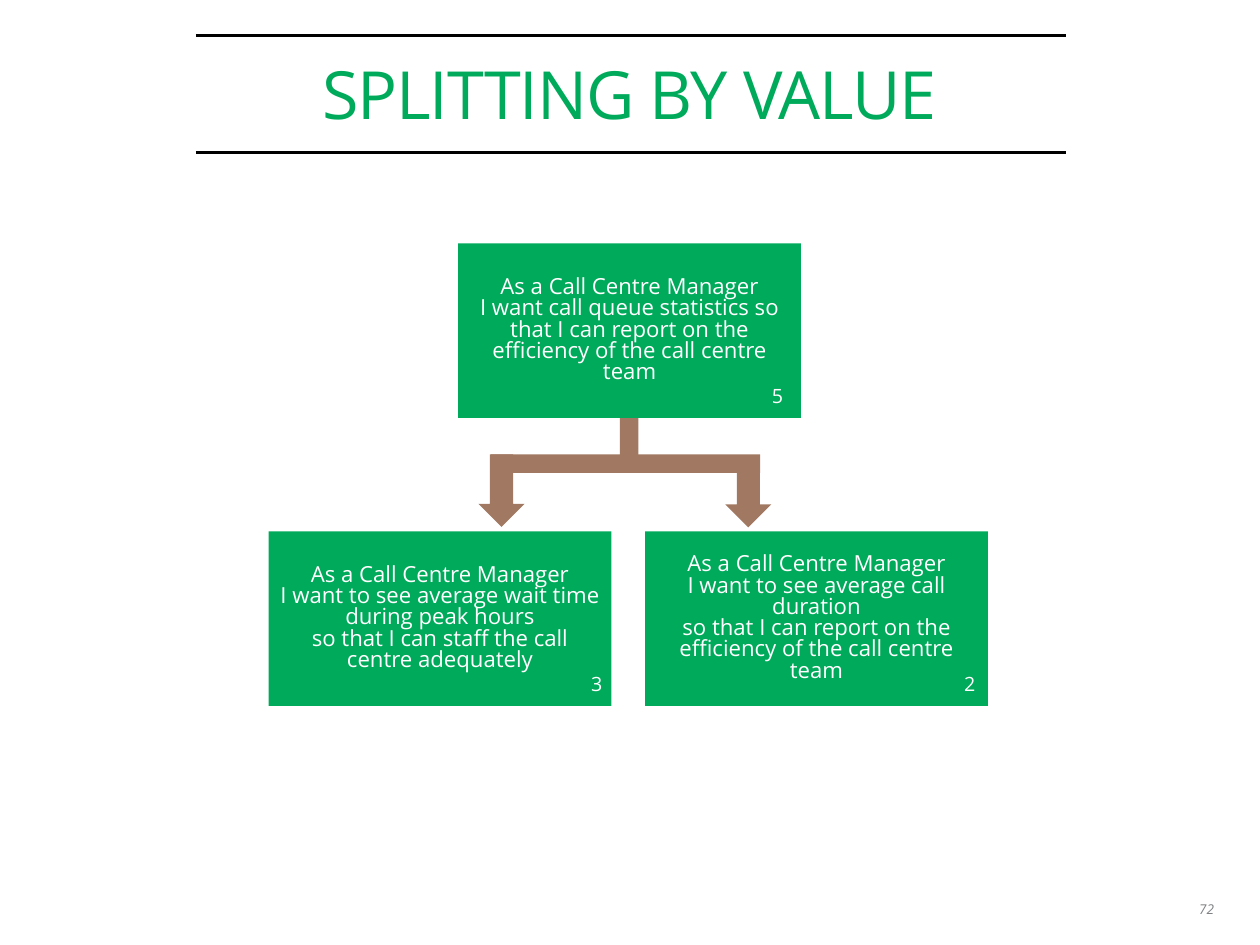
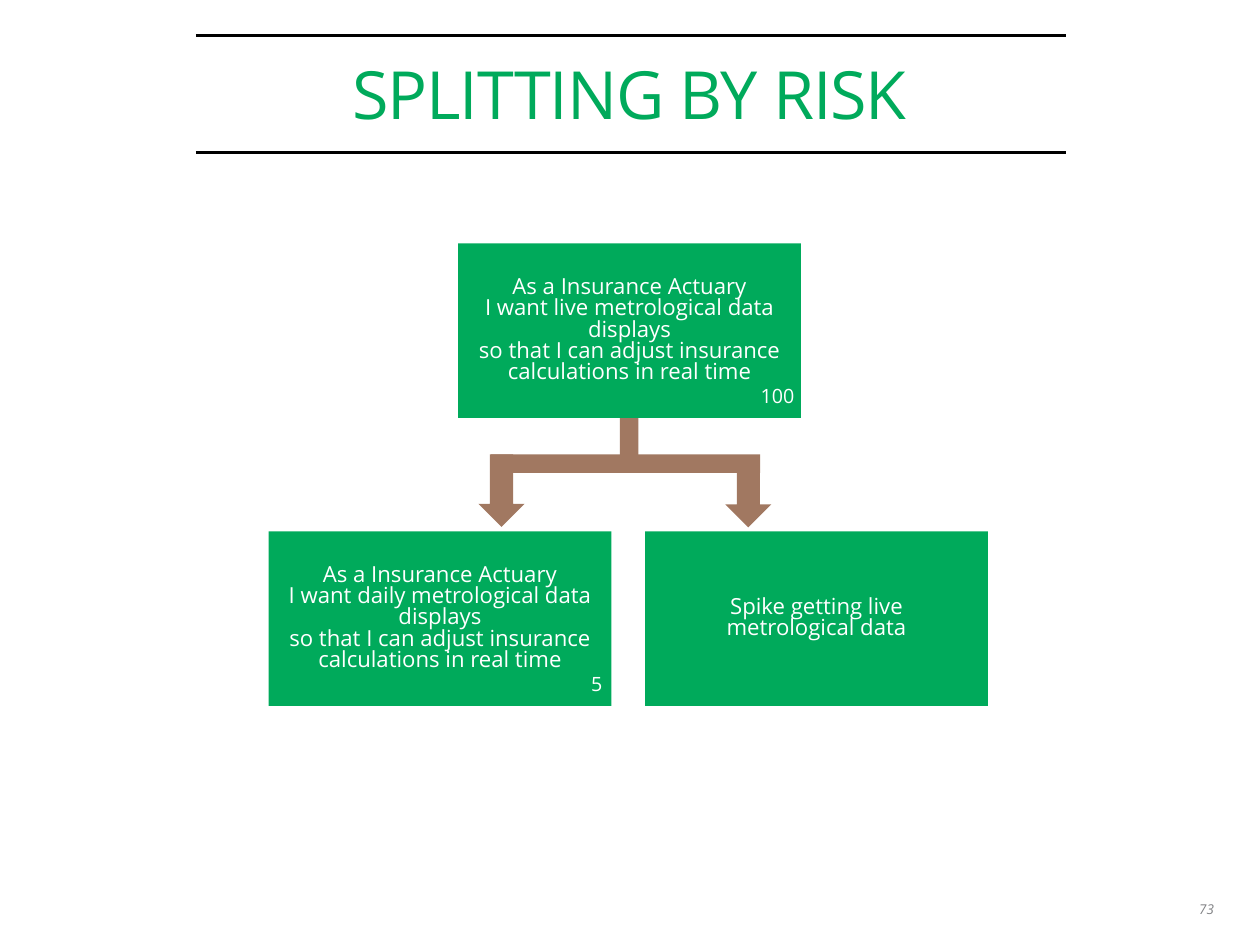
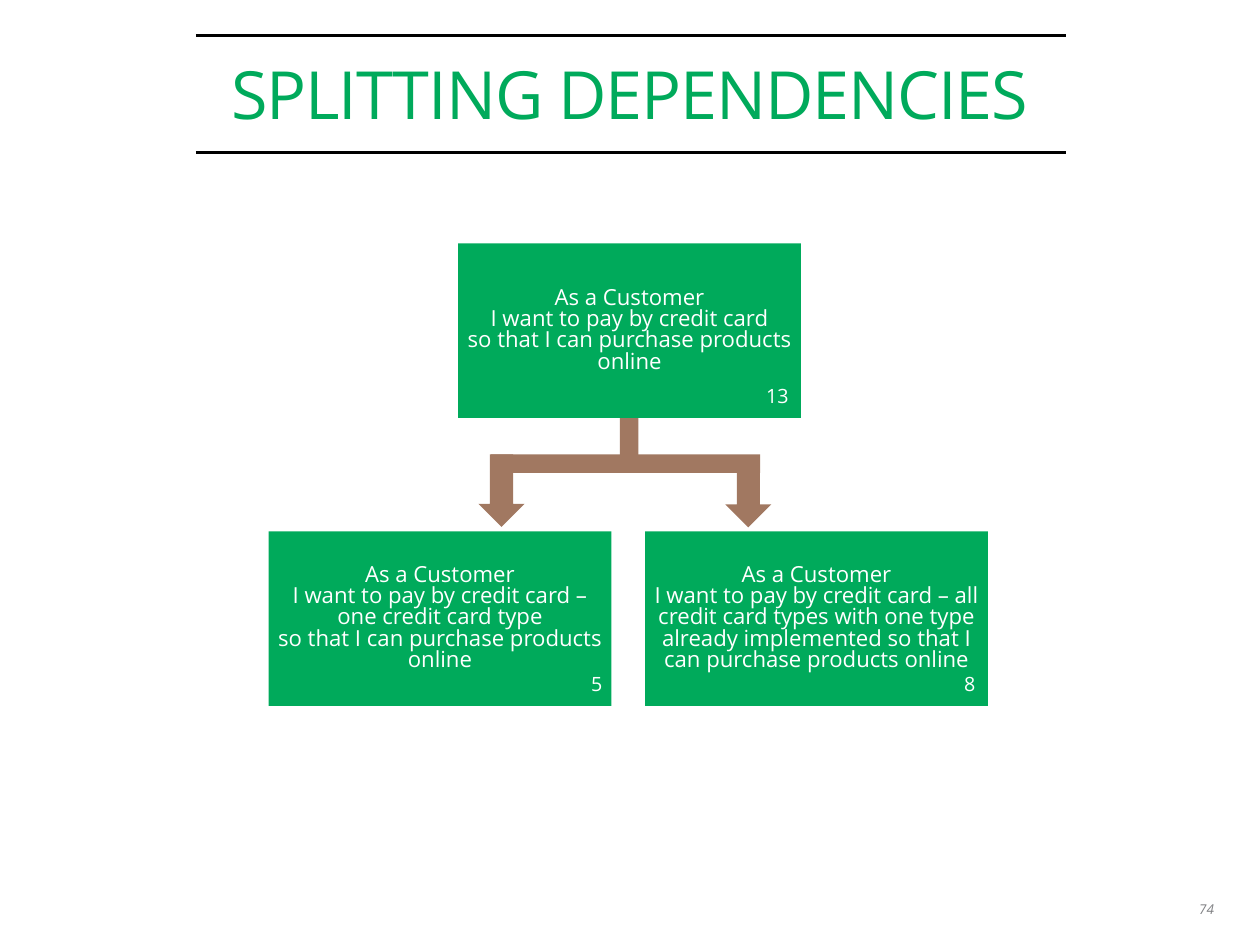
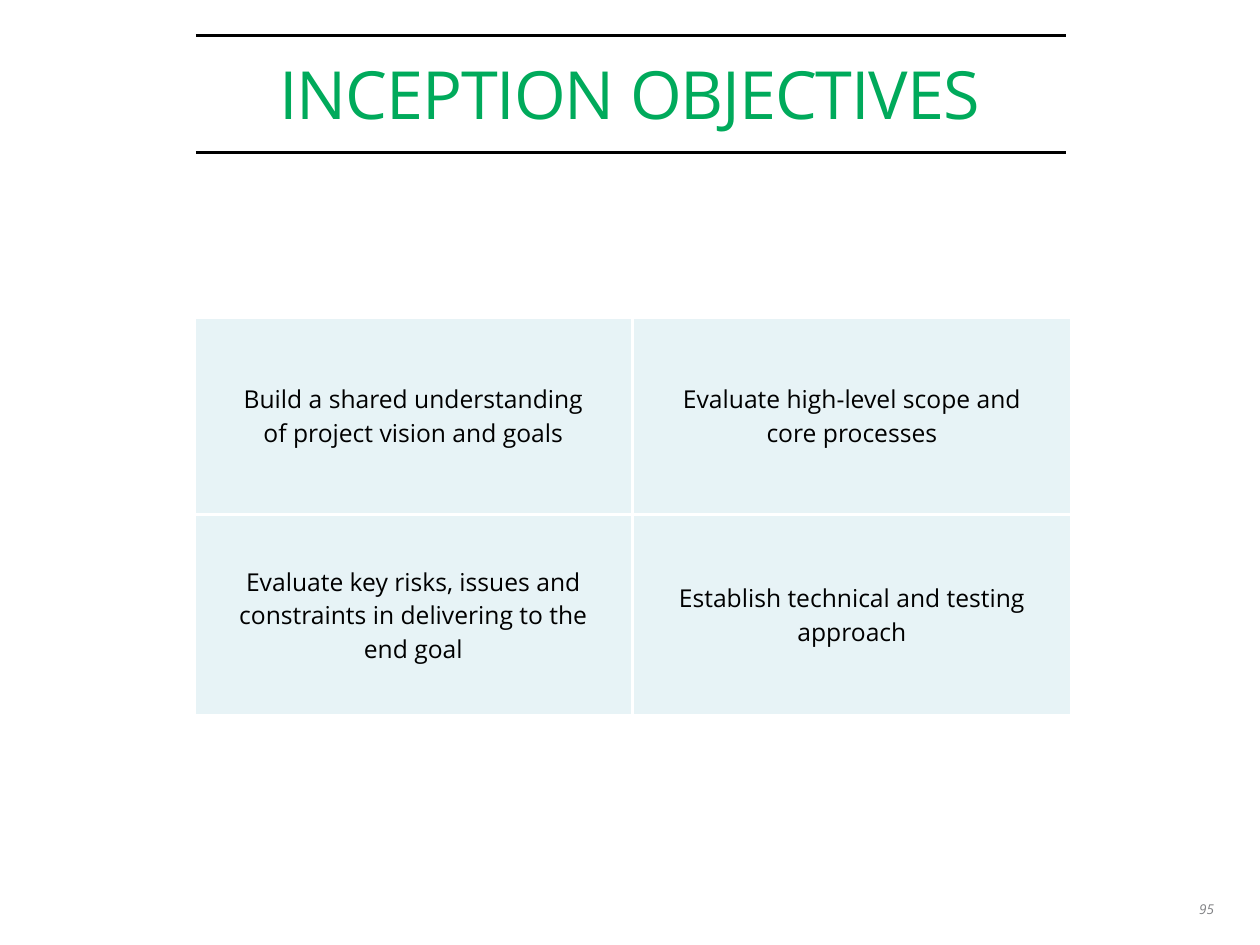
import pptx
import pptx.dml.color
import pptx.enum.shapes
import pptx.enum.text
import pptx.oxml
import pptx.oxml.ns
import pptx.util

SHAPES = pptx.enum.shapes.MSO_SHAPE
ALIGN = pptx.enum.text.PP_ALIGN
MIDDLE = pptx.enum.text.MSO_ANCHOR.MIDDLE

# Shared look
FONT = "Open Sans"
GREEN, BROWN, PALE = "00AA5B", "A17861", "E7F3F6"
BLACK, WHITE, GREY = "000000", "FFFFFF", "808184"

# Text styles: font attributes, colour, paragraph attributes
STYLES = {
    "title": ({"size": 54}, GREEN, {"alignment": ALIGN.CENTER, "line_spacing": 0.8}),
    "card": ({"size": 18}, WHITE, {"alignment": ALIGN.CENTER, "line_spacing": 0.8}),
    "badge": ({"size": 16}, WHITE, {"alignment": ALIGN.CENTER, "line_spacing": 0.9}),
    "cell": ({"size": 20}, BLACK, {"alignment": ALIGN.CENTER}),
    "number": ({"size": 11, "italic": True}, GREY, {"alignment": ALIGN.RIGHT}),
}

# Boxes are (left, top, width, height); all shares are percent of the parent box
SLIDE = (0, 0, pptx.util.Inches(14.22), pptx.util.Inches(10.67))
TITLE = (15.4, 6.94, 69.13, 7.4)
RULE_LEFT, RULE_WIDTH, RULE_TOPS = 15.54, 69.06, (3.75, 16.12)
NUMBER = (93.53, 94.85, 3.52, 3)
TREE = (21.31, 25.77, 57.1, 48.92)
TABLE = (15.4, 33.55, 69.62, 42.17)

# Parts of the tree
CARD_WIDTH, CARD_HEIGHT = 47.66, 37.74
CARD_PLACES = [  # left, top, centre of the badge within the card
    (26.35, 0, 93.15),
    (0, 100 - CARD_HEIGHT, 95.74),
    (100 - CARD_WIDTH, 100 - CARD_HEIGHT, 94.7),
]
BADGE_WIDTH, BADGE_TOP, BADGE_HEIGHT = 15.5, 79.7, 17.77
BRANCHES = [
    (SHAPES.DOWN_ARROW, (29.19, 45.59, 6.4, 15.71)),
    (SHAPES.RECTANGLE, (30.91, 45.59, 37.44, 4.02)),
    (SHAPES.DOWN_ARROW, (63.49, 46.26, 6.4, 15.13)),
    (SHAPES.RECTANGLE, (48.83, 35.15, 2.59, 13.03)),
]

# Content: "\n" starts a paragraph, "\v" breaks a line
TREES = [
    ("SPLITTING BY VALUE", 72, [
        ("As a Call Centre Manager\vI want call queue statistics so that I can "
         "report on the efficiency of the call centre team", "5"),
        ("As a Call Centre Manager\vI want to see average wait time during peak "
         "hours\vso that I can staff the call centre adequately", "3"),
        ("As a Call Centre Manager\vI want to see average call duration\vso that "
         "I can report on the efficiency of the call centre team", "2"),
    ]),
    ("SPLITTING BY RISK", 73, [
        ("As a Insurance Actuary\vI want live metrological data displays\vso that "
         "I can adjust insurance calculations in real time", "100"),
        ("As a Insurance Actuary\vI want daily metrological data displays\vso that "
         "I can adjust insurance calculations in real time", "5"),
        ("Spike getting live\vmetrological data", ""),
    ]),
    ("SPLITTING DEPENDENCIES", 74, [
        ("As a Customer\vI want to pay by credit card\vso that I can purchase "
         "products online", "13"),
        ("As a Customer\vI want to pay by credit card – one credit card type\n"
         "so that I can purchase products online", "5"),
        ("As a Customer\nI want to pay by credit card – all credit card types with "
         "one type already implemented so that I can purchase products online", "8"),
    ]),
]
OBJECTIVES = [
    ["Build a shared understanding\vof project vision and goals",
     "Evaluate high-level scope and\vcore processes"],
    ["Evaluate key risks, issues and\vconstraints in delivering to the\vend goal",
     "Establish technical and testing\vapproach"],
]


def color(value):
    return pptx.dml.color.RGBColor.from_string(value)


def within(parent, shares):
    """Turn percent shares of a parent box into a box on the slide."""
    left, top, width, height = parent
    x, y, w, h = shares
    return (int(left + width * x / 100), int(top + height * y / 100),
            int(width * w / 100), int(height * h / 100))


def write(frame, text, style):
    font, ink, layout = STYLES[style]
    for index, line in enumerate(text.split("\n")):
        para = frame.add_paragraph() if index else frame.paragraphs[0]
        para.text = line
        for name, value in layout.items():
            setattr(para, name, value)
        for span in para.runs:
            for name, value in {"name": FONT, **font}.items():
                setattr(span.font, name, pptx.util.Pt(value) if name == "size" else value)
            span.font.color.rgb = color(ink)


def add_text(page, box, text, style, wrap=True):
    frame = page.shapes.add_textbox(*box).text_frame
    frame.word_wrap = wrap
    write(frame, text, style)
    return frame


def add_block(page, kind, box, fill):
    block = page.shapes.add_shape(kind, *box)
    block.shadow.inherit = False
    block.fill.solid()
    block.fill.fore_color.rgb = color(fill)
    block.line.fill.background()
    return block


def add_rule(page, box):
    left, top, width, _ = box
    rule = page.shapes.add_connector(
        pptx.enum.shapes.MSO_CONNECTOR.STRAIGHT, left, top, left + width, top)
    rule.line.color.rgb = color(BLACK)
    rule.line.width = pptx.util.Pt(2)
    rule._element.spPr.append(pptx.oxml.parse_xml(
        f"<a:effectLst {pptx.oxml.ns.nsdecls('a')}/>"))


def add_page(deck, title, number):
    """A blank slide with the ruled title and the page number."""
    page = deck.slides.add_slide(deck.slide_layouts[6])
    for top in RULE_TOPS:
        add_rule(page, within(SLIDE, (RULE_LEFT, top, RULE_WIDTH, 0)))
    frame = add_text(page, within(SLIDE, TITLE), title, "title")
    frame.vertical_anchor = MIDDLE
    for side in ("left", "top", "right", "bottom"):
        setattr(frame, f"margin_{side}", 0)
    frame.paragraphs[0].runs[0]._r.get_or_add_rPr().set("spc", "-90")
    add_text(page, within(SLIDE, NUMBER), str(number), "number")
    return page


def add_card(page, box, story, points, badge_centre):
    """A story card with its points in the lower right corner."""
    frame = add_block(page, SHAPES.RECTANGLE, box, GREEN).text_frame
    frame.word_wrap = True
    frame.vertical_anchor = MIDDLE
    write(frame, story, "card")
    if points:
        badge = (badge_centre - BADGE_WIDTH / 2, BADGE_TOP, BADGE_WIDTH, BADGE_HEIGHT)
        add_text(page, within(box, badge), points, "badge", wrap=False)


def add_tree(page, box, cards):
    """One story split in two: branches first, cards on top."""
    for kind, shares in BRANCHES:
        add_block(page, kind, within(box, shares), BROWN)
    for (left, top, centre), (story, points) in zip(CARD_PLACES, cards):
        card = within(box, (left, top, CARD_WIDTH, CARD_HEIGHT))
        add_card(page, card, story, points, centre)


def add_borders(cell):
    properties = cell._tc.get_or_add_tcPr()
    for index, side in enumerate(("lnL", "lnR", "lnT", "lnB")):
        properties.insert(index, pptx.oxml.parse_xml(
            f"<a:{side} {pptx.oxml.ns.nsdecls('a')} w='{pptx.util.Pt(3)}'>"
            f"<a:solidFill><a:srgbClr val='{WHITE}'/></a:solidFill></a:{side}>"))


def add_objectives(page, box, rows):
    """A plain table of centred statements."""
    table = page.shapes.add_table(len(rows), len(rows[0]), *box).table
    table.first_row = table.horz_banding = False
    for row, share in zip(table.rows, (49.56, 50.44)):
        row.height = int(box[3] * share / 100)
    for row, texts in enumerate(rows):
        for column, text in enumerate(texts):
            cell = table.cell(row, column)
            cell.vertical_anchor = MIDDLE
            cell.fill.solid()
            cell.fill.fore_color.rgb = color(PALE)
            add_borders(cell)
            write(cell.text_frame, text, "cell")


def main():
    deck = pptx.Presentation()
    deck.slide_width, deck.slide_height = SLIDE[2:]
    for title, number, cards in TREES:
        add_tree(add_page(deck, title, number), within(SLIDE, TREE), cards)
    page = add_page(deck, "INCEPTION OBJECTIVES", 95)
    add_objectives(page, within(SLIDE, TABLE), OBJECTIVES)
    deck.save("out.pptx")


if __name__ == "__main__":
    main()
